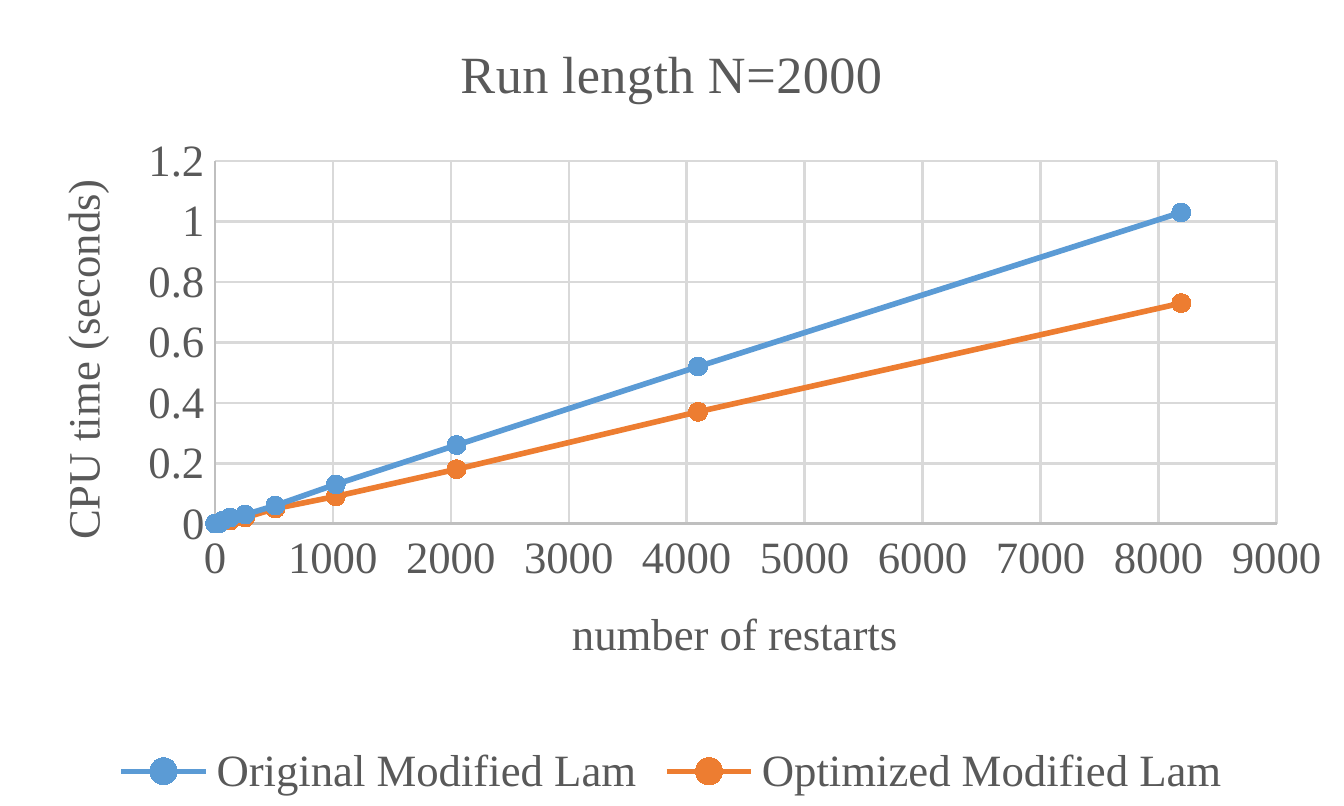
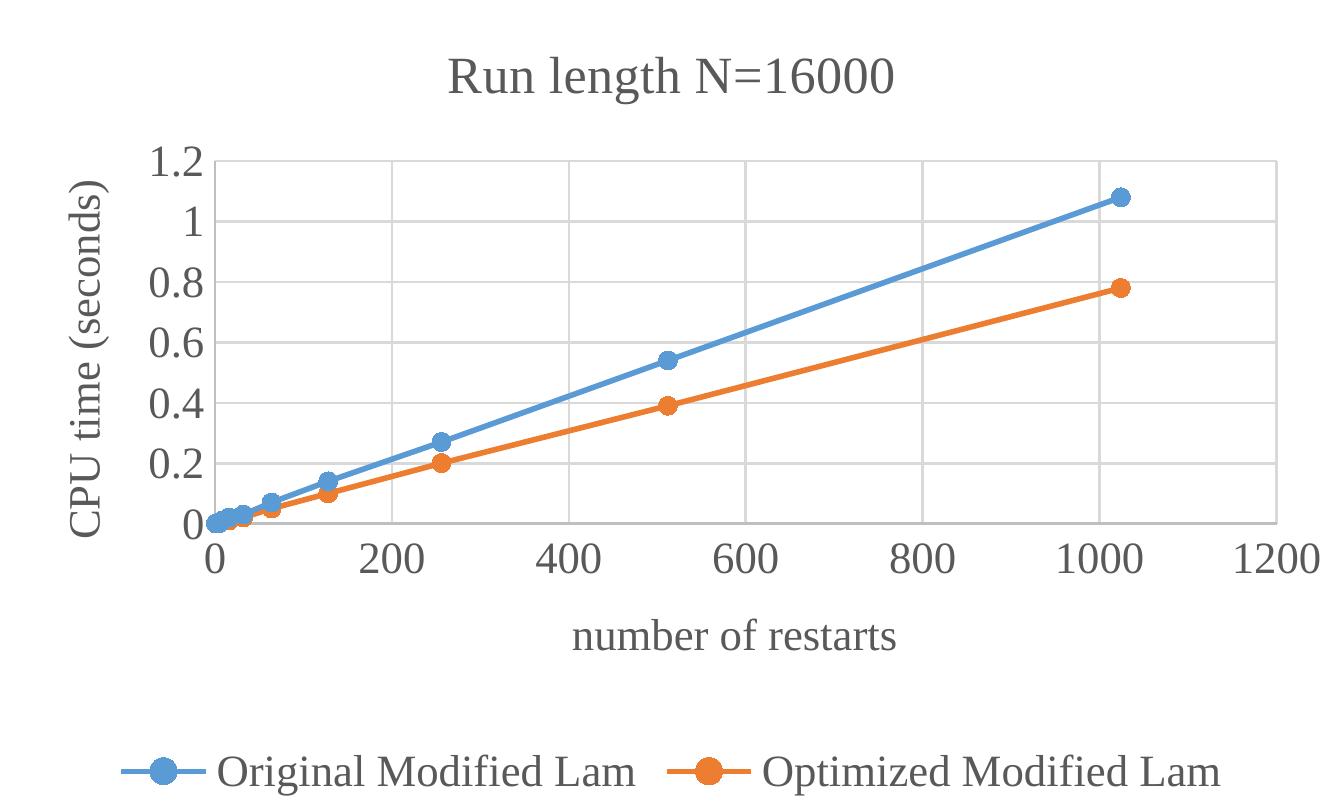
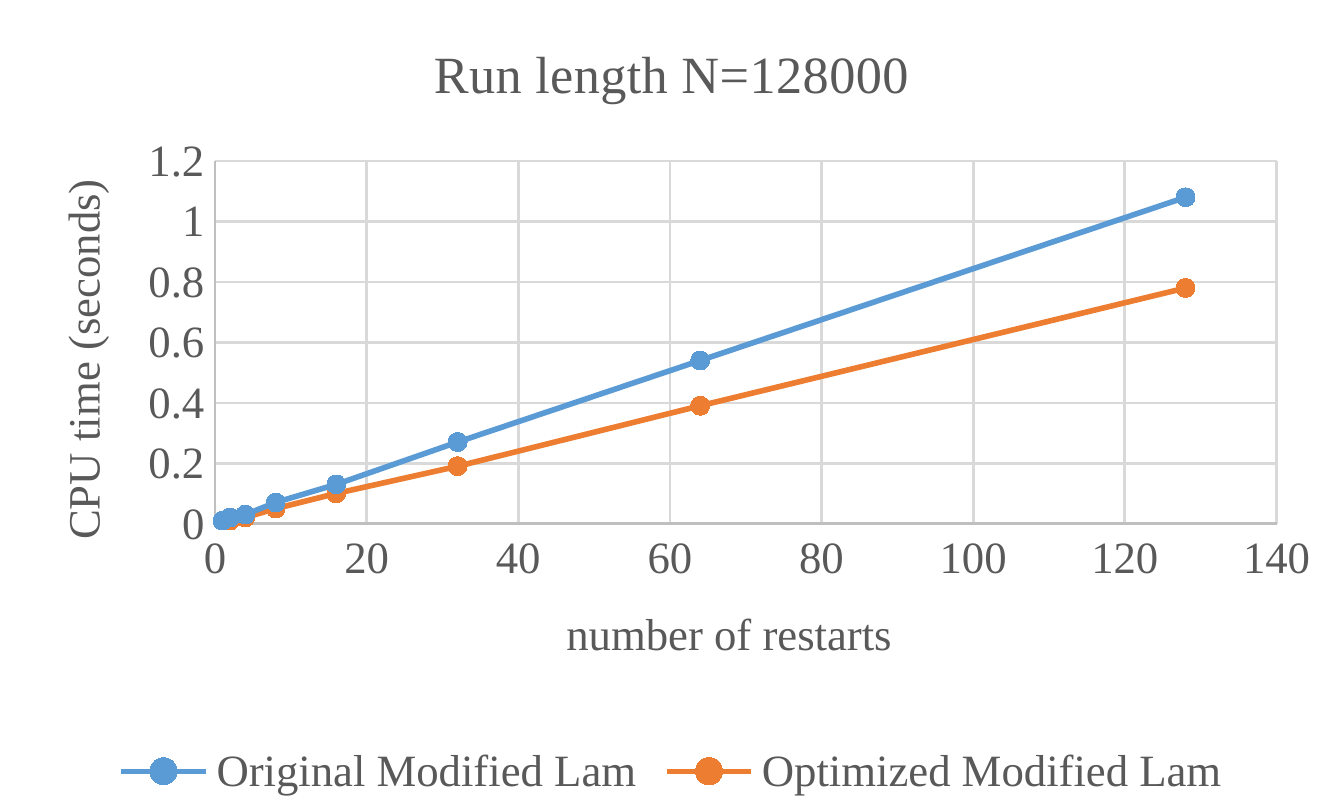
from pptx import Presentation
from pptx.chart.data import XyChartData
from pptx.dml.color import RGBColor
from pptx.enum.chart import XL_CHART_TYPE as CT, XL_LEGEND_POSITION as LP
from pptx.enum.chart import XL_MARKER_STYLE as MS, XL_TICK_MARK as TM
from pptx.oxml import parse_xml
from pptx.oxml.ns import nsdecls
from pptx.util import Inches, Pt

FONT = "Times New Roman"
COLORS = {"text": "595959", "axis": "BFBFBF", "grid": "D9D9D9",
          "Original Modified Lam": "5B9BD5", "Optimized Modified Lam": "ED7D31"}
PLOT_AREA = {"x": 0.16, "y": 0.2, "w": 0.79, "h": 0.45}

# Run length -> CPU seconds per method; restarts double from 1 at each point
RUNS = {
    2000: {
        "Original Modified Lam": [0, 0, 0, 0, 0, 0, 0.01, 0.02, 0.03, 0.06,
                                  0.13, 0.26, 0.52, 1.03],
        "Optimized Modified Lam": [0, 0, 0, 0, 0, 0, 0.01, 0.01, 0.02, 0.05,
                                   0.09, 0.18, 0.37, 0.73]},
    16000: {
        "Original Modified Lam": [0, 0, 0, 0.01, 0.02, 0.03, 0.07, 0.14,
                                  0.27, 0.54, 1.08],
        "Optimized Modified Lam": [0, 0, 0, 0.01, 0.01, 0.02, 0.05, 0.1,
                                   0.2, 0.39, 0.78]},
    128000: {
        "Original Modified Lam": [0.01, 0.02, 0.03, 0.07, 0.13, 0.27, 0.54, 1.08],
        "Optimized Modified Lam": [0.01, 0.01, 0.02, 0.05, 0.1, 0.19, 0.39, 0.78]},
}


def style_font(font, size=12):
    """Apply the shared chart text style."""
    font.name, font.size, font.bold = FONT, Pt(size), False
    font.color.rgb = RGBColor.from_string(COLORS["text"])


def style_line(line, color, width=0.75):
    """Give a line a solid colour and a width in points."""
    line.color.rgb = RGBColor.from_string(color)
    line.width = Pt(width)


prs = Presentation()
prs.slide_width, prs.slide_height = Inches(5), Inches(3)

for run_length, timings in RUNS.items():
    s = prs.slides.add_slide(prs.slide_layouts[6])
    data = XyChartData()
    for method, seconds in timings.items():
        series = data.add_series(method)
        for i, value in enumerate(seconds):
            series.add_data_point(2 ** i, value)
    chart = s.shapes.add_chart(CT.XY_SCATTER_SMOOTH, 0, 0, prs.slide_width,
                               prs.slide_height, data).chart
    style_font(chart.font)
    chart.plots[0].vary_by_categories = False

    titled = [(chart, f"Run length N={run_length}", 14),
              (chart.category_axis, "number of restarts", 12),
              (chart.value_axis, "CPU time (seconds)", 12)]
    for owner, text, size in titled:
        title = owner.chart_title if owner is chart else owner.axis_title
        r = title.text_frame.paragraphs[0].add_run()
        r.text = text
        style_font(r.font, size)

    for axis in (chart.category_axis, chart.value_axis):
        axis.minimum_scale = 0
        axis.major_tick_mark = axis.minor_tick_mark = TM.NONE
        axis.has_major_gridlines = True
        style_line(axis.major_gridlines.format.line, COLORS["grid"])
        style_line(axis.format.line, COLORS["axis"])
        style_font(axis.tick_labels.font)

    chart.has_legend = True
    chart.legend.position = LP.BOTTOM
    chart.legend.include_in_layout = False
    style_font(chart.legend.font)

    for series in chart.plots[0].series:
        color = COLORS[series.name]
        series.smooth = True
        style_line(series.format.line, color, 1.5)
        marker = series.marker
        marker.style, marker.size = MS.CIRCLE, 5
        marker.format.fill.solid()
        marker.format.fill.fore_color.rgb = RGBColor.from_string(color)
        style_line(marker.format.line, color)

    plot_area = chart._chartSpace.xpath("c:chart/c:plotArea")[0]
    for layout in plot_area.xpath("c:layout"):
        plot_area.remove(layout)
    sizes = "".join(f'<c:{key} val="{val}"/>' for key, val in PLOT_AREA.items())
    plot_area.insert(0, parse_xml(
        f'<c:layout {nsdecls("c")}><c:manualLayout><c:layoutTarget val="inner"/>'
        f'<c:xMode val="edge"/><c:yMode val="edge"/>{sizes}'
        '</c:manualLayout></c:layout>'))

prs.save("out.pptx")
